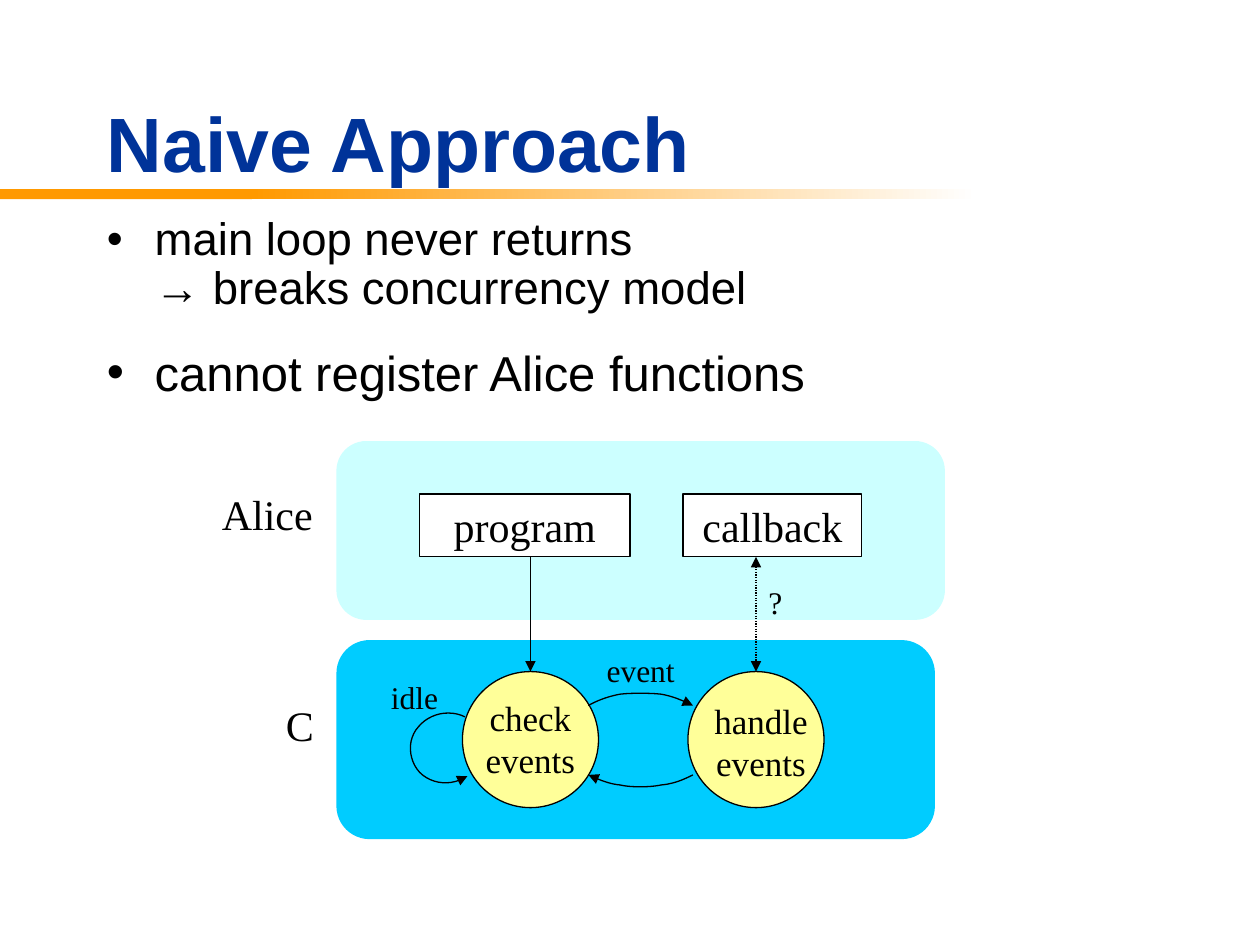
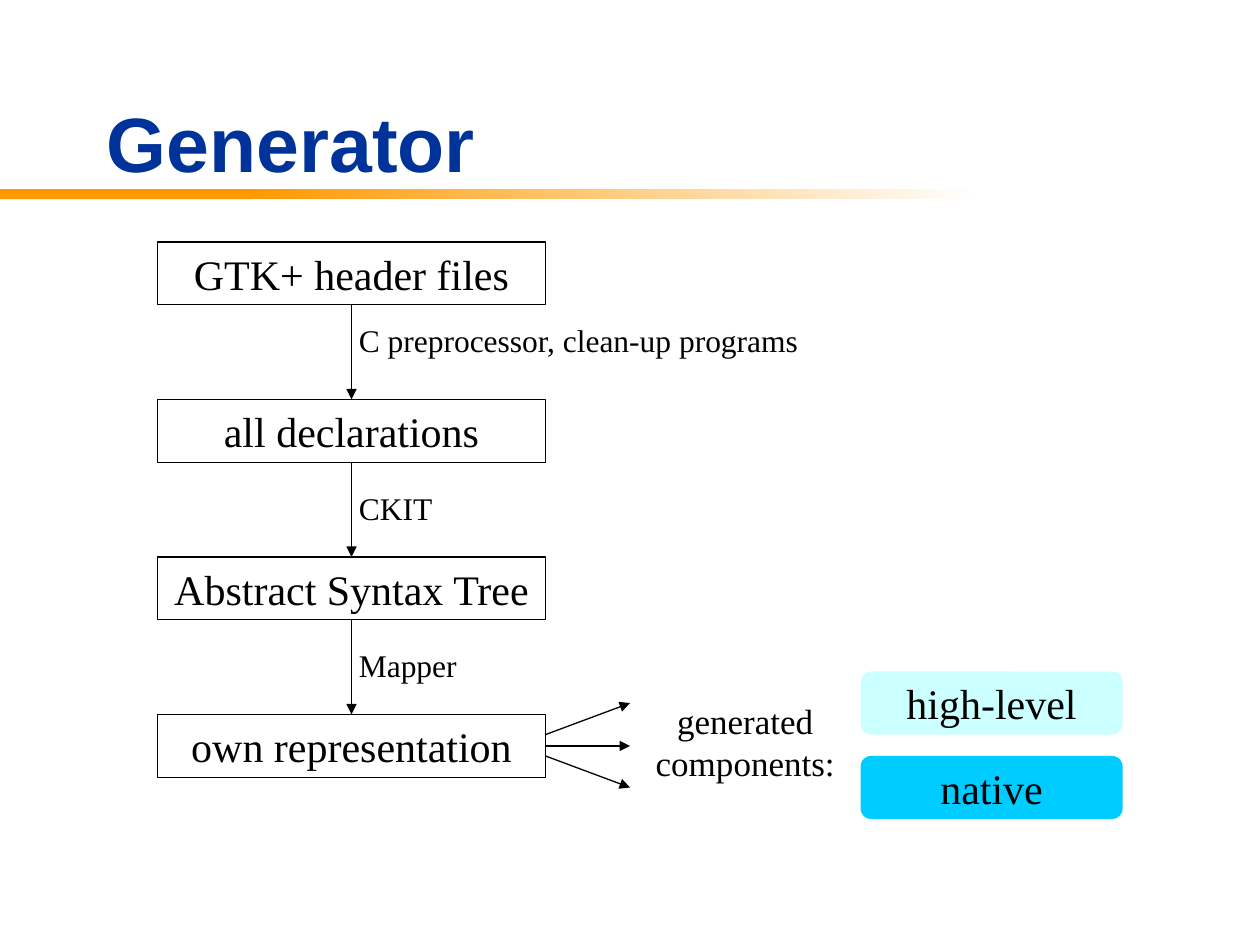
from lxml import etree
from pptx import Presentation
from pptx.dml.color import RGBColor
from pptx.enum.dml import MSO_LINE
from pptx.enum.shapes import MSO_CONNECTOR, MSO_SHAPE
from pptx.enum.text import MSO_ANCHOR, PP_ALIGN
from pptx.oxml.ns import qn
from pptx.util import Inches, Pt

RECT, ROUNDED, OVAL = MSO_SHAPE.RECTANGLE, MSO_SHAPE.ROUNDED_RECTANGLE, MSO_SHAPE.OVAL
STRAIGHT = MSO_CONNECTOR.STRAIGHT
LEFT, CENTER, RIGHT = PP_ALIGN.LEFT, PP_ALIGN.CENTER, PP_ALIGN.RIGHT
TOP_SIDE, RIGHT_SIDE, BOTTOM_SIDE = 0, 3, 2

COLORS = {
    "title": "003399", "band": "FF9900", "paper": "FFFFFF", "ink": "000000",
    "high": "CCFFFF", "native": "00CCFF", "state": "FFFF99",
}
SANS, SERIF = "Arial", "Times New Roman"

BULLETS = [
    ("main loop never returns\n→ breaks concurrency model", 1.67, 1, 26, 0.9),
    ("cannot register Alice functions", 2.67, 0.58, 28, 1),
]
LAYERS = [
    ("Alice", "high", (2.67, 3.5, 4.83, 1.42), (1.5, 3.83, 1.08, 0.5)),
    ("C", "native", (2.67, 5.08, 4.75, 1.58), (1.92, 5.5, 0.67, 0.5)),
]
ALICE_PARTS = [
    ("program", (3.33, 3.92, 1.67, 0.5)),
    ("callback", (5.42, 3.92, 1.42, 0.5)),
]
STATES = [
    ("check events", 3.67, (3.71, 5.48, 1, 0.77)),
    ("handle events", 5.46, (5.54, 5.5, 1, 0.77)),
]
STATE_TOP, STATE_SIZE = 5.33, 1.08
EVENT_LABELS = [
    ("idle", (3, 5.33, 0.58, 0.4), CENTER),
    ("event", (4.71, 5.12, 0.75, 0.4), CENTER),
    ("?", (6, 4.58, 0.42, 0.4), LEFT),
]
LOOPS = [
    ("headEnd", (3.71, 6.16), [
        ((3.59, 6.24), (3.43, 6.23), (3.33, 6.13)),
        ((3.24, 6.03), (3.23, 5.87), (3.32, 5.77)),
        ((3.41, 5.66), (3.57, 5.63), (3.69, 5.69))]),
    ("tailEnd", (4.67, 5.6), [
        ((4.74, 5.56), (4.82, 5.53), (4.92, 5.51)),
        ((5.01, 5.5), (5.15, 5.5), (5.25, 5.51)),
        ((5.35, 5.53), (5.42, 5.56), (5.5, 5.6))]),
    ("tailEnd", (5.5, 6.15), [
        ((5.42, 6.19), (5.35, 6.22), (5.25, 6.23)),
        ((5.15, 6.25), (5.01, 6.25), (4.92, 6.23)),
        ((4.82, 6.22), (4.74, 6.18), (4.67, 6.15))]),
]

STAGES = ["GTK+ header files", "all declarations", "Abstract Syntax Tree", "own representation"]
STAGE_LEFT, STAGE_TOP, STAGE_STEP, STAGE_WIDTH, STAGE_HEIGHT = 1.25, 1.92, 1.25, 3.08, 0.5
TOOLS = [
    ("C preprocessor, clean-up programs", 2.5, 4),
    ("CKIT", 3.83, 0.83),
    ("Mapper", 5.08, 1.17),
]
OUTPUT_ARROWS = [(5.83, 5.58), (5.92, 5.92), (6, 6.25)]
COMPONENTS = [("high-level", "high", 5.33), ("native", "native", 6)]


def rgb(name):
    return RGBColor.from_string(COLORS[name])


def inches(values):
    return [Inches(value) for value in values]


def write(frame, text, size, align=LEFT, font=SERIF, color="ink", bold=False, bullet=False, spacing=None):
    frame.word_wrap = True
    paragraph = frame.paragraphs[0]
    paragraph.text = text
    paragraph.alignment = align
    if spacing:
        paragraph.line_spacing = spacing
    if bullet:
        props = paragraph._p.get_or_add_pPr()
        props.set("marL", str(Inches(0.38)))
        props.set("indent", str(-Inches(0.38)))
        etree.SubElement(props, qn("a:buFont"), typeface=SANS)
        etree.SubElement(props, qn("a:buChar"), char="•")
    paragraph.font.name = font
    paragraph.font.size = Pt(size)
    paragraph.font.bold = bold
    paragraph.font.color.rgb = rgb(color)


def label(slide, text, box, size, align=LEFT, anchor=MSO_ANCHOR.TOP, **style):
    frame = slide.shapes.add_textbox(*inches(box)).text_frame
    frame.vertical_anchor = anchor
    write(frame, text, size, align, **style)


def block(slide, kind, box, fill=None, outlined=False, text=None):
    shape = slide.shapes.add_shape(kind, *inches(box))
    shape.shadow.inherit = False
    if fill:
        shape.fill.solid()
        shape.fill.fore_color.rgb = rgb(fill)
    else:
        shape.fill.background()
    if outlined:
        ink(shape.line)
    else:
        shape.line.fill.background()
    if text:
        shape.text_frame.vertical_anchor = MSO_ANCHOR.MIDDLE
        write(shape.text_frame, text, 24, CENTER)
    return shape


def ink(line, *ends):
    line.color.rgb = rgb("ink")
    line.width = Pt(0.75)
    for end in ends:
        etree.SubElement(line._get_or_add_ln(), qn("a:" + end), type="triangle")


def arrow(slide, start, finish, source=None, target=None, both=False):
    connector = slide.shapes.add_connector(STRAIGHT, *inches(start + finish))
    if source:
        connector.begin_connect(*source)
    if target:
        connector.end_connect(*target)
    if both:
        connector.line.dash_style = MSO_LINE.ROUND_DOT
    ink(connector.line, *(("headEnd", "tailEnd") if both else ("tailEnd",)))
    etree.SubElement(connector._element.spPr, qn("a:effectLst"))


def curve_points(start, segments, steps=12):
    points = []
    for first, second, end in segments:
        for step in range(1, steps + 1):
            t = step / steps
            u = 1 - t
            points.append(tuple(
                Inches(u**3 * a + 3 * u * u * t * b + 3 * u * t * t * c + t**3 * d)
                for a, b, c, d in zip(start, first, second, end)))
        start = end
    return points


def curved_arrow(slide, end, start, segments):
    builder = slide.shapes.build_freeform(*inches(start))
    builder.add_line_segments(curve_points(start, segments), close=False)
    curve = builder.convert_to_shape()
    curve.shadow.inherit = False
    curve.fill.background()
    ink(curve.line, end)


def new_slide(deck, title):
    slide = deck.slides.add_slide(deck.slide_layouts[6])
    fade = block(slide, RECT, (2, 1.5, 5.75, 0.08))
    fade.fill.gradient()
    fade.fill.gradient_angle = 0
    for stop, color in zip(fade.fill.gradient_stops, ("band", "paper")):
        stop.color.rgb = rgb(color)
    block(slide, RECT, (0, 1.5, 2, 0.08), "band")
    label(slide, title, (0.75, 0.5, 8.5, 1.25), 44, anchor=MSO_ANCHOR.MIDDLE,
          font=SANS, color="title", bold=True)
    return slide


def build_naive_approach(deck):
    slide = new_slide(deck, "Naive Approach")
    for text, top, height, size, spacing in BULLETS:
        label(slide, text, (0.75, top, 8.5, height), size, font=SANS, bullet=True, spacing=spacing)
    for name, fill, area, name_box in LAYERS:
        block(slide, ROUNDED, area, fill)
        label(slide, name, name_box, 24, RIGHT)
    for name, box in ALICE_PARTS:
        block(slide, RECT, box, "paper", True, name)
    for index, (name, left, name_box) in enumerate(STATES):
        state = block(slide, OVAL, (left, STATE_TOP, STATE_SIZE, STATE_SIZE), "state", True)
        label(slide, name, name_box, 20, CENTER)
        middle = left + STATE_SIZE / 2
        arrow(slide, (middle, 4.42), (middle, STATE_TOP), target=(state, TOP_SIDE), both=index == 1)
    for loop in LOOPS:
        curved_arrow(slide, *loop)
    for text, box, align in EVENT_LABELS:
        label(slide, text, box, 18, align)


def build_generator(deck):
    slide = new_slide(deck, "Generator")
    stages = [
        block(slide, RECT, (STAGE_LEFT, STAGE_TOP + index * STAGE_STEP, STAGE_WIDTH, STAGE_HEIGHT),
              outlined=True, text=name)
        for index, name in enumerate(STAGES)]
    for before, after, (tool, top, width) in zip(stages, stages[1:], TOOLS):
        arrow(slide, (0, 0), (0, 0), (before, BOTTOM_SIDE), (after, TOP_SIDE))
        label(slide, tool, (2.75, top, width, 0.4), 18)
    for start, finish in OUTPUT_ARROWS:
        source = (stages[-1], RIGHT_SIDE) if start == finish else None
        arrow(slide, (STAGE_LEFT + STAGE_WIDTH, start), (5, finish), source)
    label(slide, "generated\ncomponents:", (5.08, 5.5, 1.67, 0.77), 20, CENTER)
    for name, fill, top in COMPONENTS:
        block(slide, ROUNDED, (6.83, top, 2.08, 0.5), fill, text=name)


def main():
    deck = Presentation()
    deck.slide_width, deck.slide_height = Inches(10), Inches(7.5)
    build_naive_approach(deck)
    build_generator(deck)
    deck.save("out.pptx")


if __name__ == "__main__":
    main()
